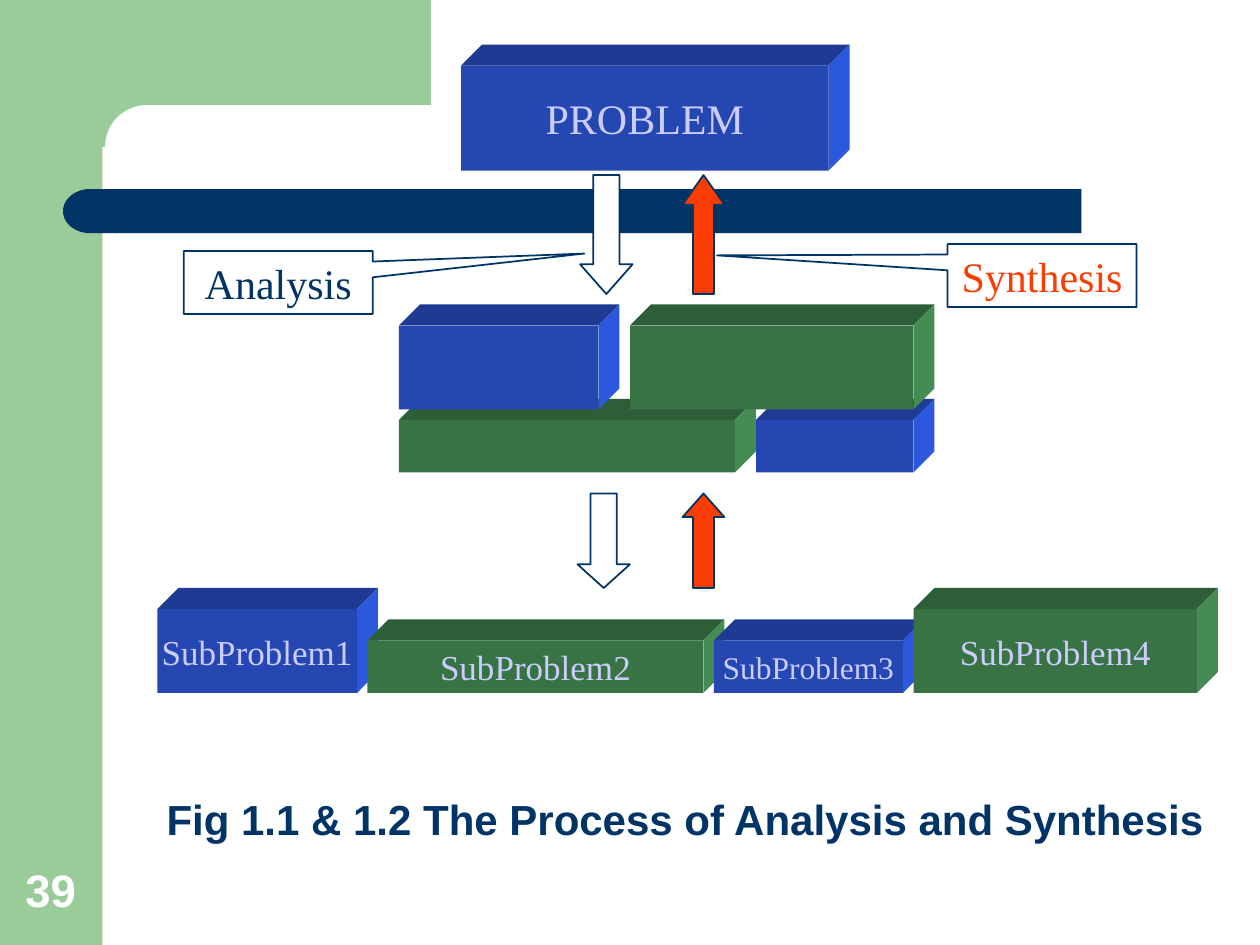
from pptx import Presentation
from pptx.dml.color import RGBColor
from pptx.enum.shapes import MSO_SHAPE
from pptx.enum.text import MSO_ANCHOR, PP_ALIGN
from pptx.util import Pt

COLORS = {
    "mint": "99CC99", "white": "FFFFFF", "navy": "003366",
    "red": "FA3D02", "lilac": "CCCCFF",
    "blue": "2447B2", "blue_top": "1E3A93", "blue_side": "2B58DC",
    "green": "387344", "green_top": "2E5E38", "green_side": "448C54",
}
SERIF, SANS = "Times New Roman", "Arial"
DEPTH = 12


def rgb(name):
    """Return the named colour."""
    return RGBColor.from_string(COLORS[name])


def paint(sp, fill, line=None):
    """Set the fill and outline of a shape and drop its shadow."""
    sp.shadow.inherit = False
    sp.fill.solid()
    sp.fill.fore_color.rgb = rgb(fill)
    if line:
        sp.line.color.rgb = rgb(line)
        sp.line.width = Pt(1)
    else:
        sp.line.fill.background()


def add_shape(s, kind, box, fill, line=None, adjustments=()):
    """Add a preset shape in a box given in points."""
    sp = s.shapes.add_shape(kind, *map(Pt, box))
    paint(sp, fill, line)
    for i, value in enumerate(adjustments):
        sp.adjustments[i] = value
    return sp


def write(sp, text, color, size, font=SERIF, bold=False, align=PP_ALIGN.CENTER,
          anchor=MSO_ANCHOR.MIDDLE, wrap=False):
    """Put one formatted paragraph in a shape."""
    tf = sp.text_frame
    tf.word_wrap, tf.vertical_anchor = wrap, anchor
    p = tf.paragraphs[0]
    p.alignment = align
    r = p.add_run()
    r.text = text
    for name, value in {"name": font, "size": Pt(size), "bold": bold}.items():
        setattr(r.font, name, value)
    r.font.color.rgb = rgb(color)


def add_face(s, points, fill):
    """Add one slanted face of a block."""
    points = [(Pt(x), Pt(y)) for x, y in points]
    builder = s.shapes.build_freeform(*points[0])
    builder.add_line_segments(points[1:], close=True)
    paint(builder.convert_to_shape(), fill)


def add_block(s, box, color, text="", size=20):
    """Add a solid block whose front face fills the box."""
    x, y, w, h = box
    right, bottom, back, up = x + w, y + h, x + w + DEPTH, y - DEPTH
    add_face(s, [(x, y), (x + DEPTH, up), (back, up), (right, y)], color + "_top")
    add_face(s, [(right, y), (back, up), (back, bottom - DEPTH), (right, bottom)],
             color + "_side")
    sp = add_shape(s, MSO_SHAPE.RECTANGLE, box, color)
    if text:
        write(sp, text, "lilac", size)


def add_row(s, left, bottom, blocks):
    """Stand blocks of (offset, width, height, colour, text, size) on one line."""
    for dx, w, h, *look in blocks:
        add_block(s, (left + dx, bottom - h, w, h), *look)


def add_arrows(s, down_left, box, head):
    """Add the down and up arrows between two levels."""
    x, y, w, h = box
    for kind, left, width, fill in (
            (MSO_SHAPE.DOWN_ARROW, down_left, 30, "white"),
            (MSO_SHAPE.UP_ARROW, x + w - 24, 24, "red")):
        add_shape(s, kind, (left, y, width, h), fill, "navy", (0.5, head / width))


def add_callout(s, box, text, color, tip):
    """Add a labelled callout with its tip at a relative place."""
    sp = add_shape(s, MSO_SHAPE.RECTANGULAR_CALLOUT, box, "white", "navy", tip)
    write(sp, text, color, 24, anchor=MSO_ANCHOR.TOP, wrap=True)


def add_frame(s, box, number):
    """Add the corner panels, the bar and the slide number."""
    x, y, w, h = box
    add_shape(s, MSO_SHAPE.RECTANGLE, (x, y, 58.5, h), "mint")
    add_shape(s, MSO_SHAPE.RECTANGLE, (x + 52.5, y, 193.75, 84), "mint")
    add_shape(s, MSO_SHAPE.ROUNDED_RECTANGLE, (x + 60, y + 60, 402, 48), "white",
              adjustments=(0.5,))
    add_shape(s, MSO_SHAPE.RECTANGLE, (x + 66, y + 108, 552, 25.25), "navy")
    add_shape(s, MSO_SHAPE.FLOWCHART_DELAY, (x + 36, y + 108, 31, 25.25),
              "navy").rotation = 180
    sp = s.shapes.add_textbox(*map(Pt, (x + 6, y + h - 50.5, 46, 38)))
    write(sp, number, "white", 26, SANS, True, anchor=MSO_ANCHOR.BOTTOM)


def add_title(s, box, text):
    """Move and format the title placeholder."""
    sp = s.shapes.title
    sp.left, sp.top, sp.width, sp.height = map(Pt, box)
    write(sp, text, "navy", 24, SANS, True, PP_ALIGN.LEFT, MSO_ANCHOR.BOTTOM, True)
    sp.text_frame.paragraphs[0].line_spacing = 0.9


def add_diagram(s, box):
    """Add the levels of blocks, the arrows and the callouts."""
    x, y, w, h = box
    add_row(s, x + 173.5, y + 72.5, [(0, 210, 60, "blue", "PROBLEM", 24)])
    add_row(s, x + 138, y + 245, [(0, 192, 30, "green"), (204, 90, 30, "blue")])
    add_row(s, x + 138, y + 209, [(0, 114, 48, "blue"), (132, 162, 48, "green")])
    add_row(s, x, y + h, [
        (0, 114, 48, "blue", "SubProblem1", 20),
        (120, 192, 30, "green", "SubProblem2", 20),
        (318, 108, 30, "blue", "SubProblem3", 18),
        (432, 162, 48, "green", "SubProblem4", 20)])
    add_arrows(s, x + 241.5, (x + 240, y + 75, 84, 68), 17)
    add_arrows(s, x + 240, (x + 240, y + 257, 84, 54), 13.5)
    add_callout(s, (x + 15, y + 118.5, 108, 36), "Analysis", "navy", (1.62, -0.46))
    add_callout(s, (x + 451.5, y + 114.5, 108, 36), "Synthesis", "red",
                (-1.72, -0.32))


def main():
    """Build and save the slide."""
    prs = Presentation()
    prs.slide_width, prs.slide_height = Pt(720), Pt(540)
    s = prs.slides.add_slide(prs.slide_layouts[5])
    add_frame(s, (0, 0, 720, 540), "39")
    add_title(s, (88, 438, 624, 48),
              "Fig 1.1 & 1.2 The Process of Analysis and Synthesis")
    add_diagram(s, (90, 25, 606, 371))
    prs.save("out.pptx")


if __name__ == "__main__":
    main()
